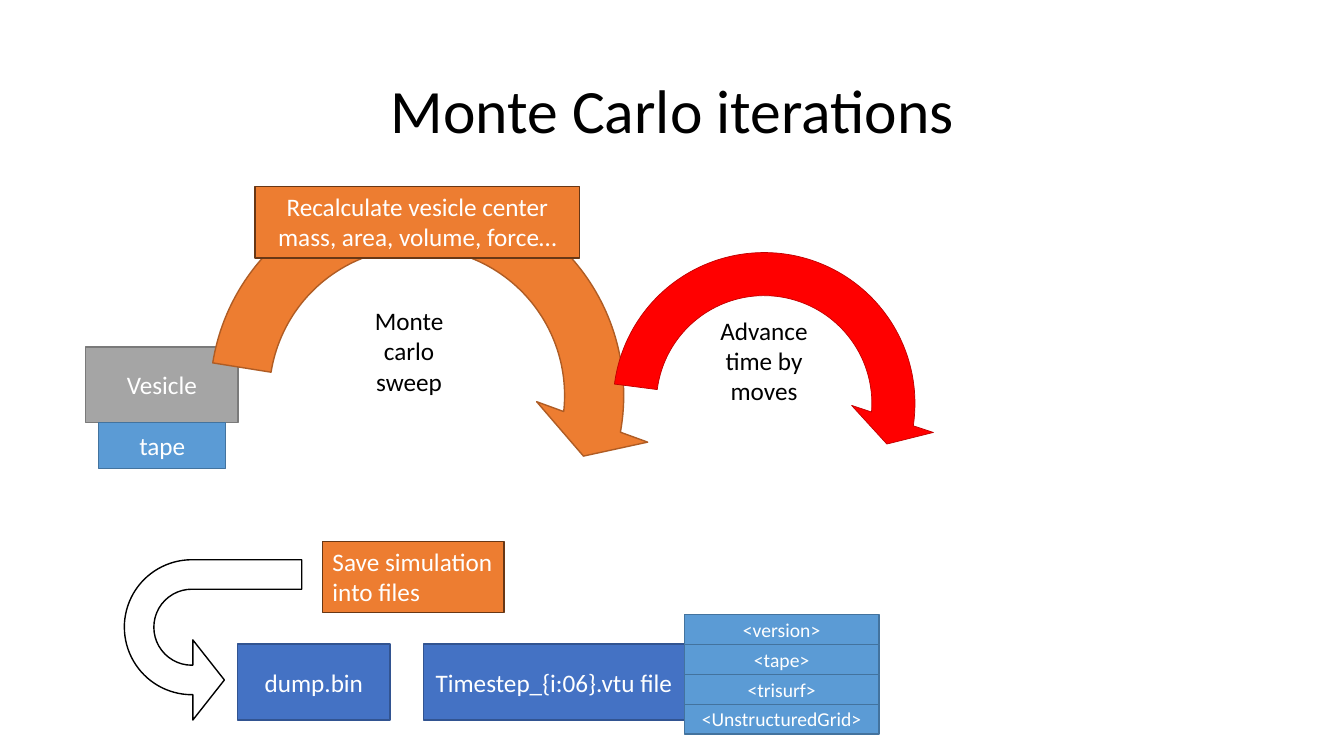
from pptx import Presentation
from pptx import util as u
from pptx.dml import color
from pptx.enum import shapes, text

ORANGE = "ED7D31"
BLUE = "4472C4"
LIGHT_BLUE = "5B9BD5"
LIGHT_BLUE_EDGE = "43739E"


def rgb(hex_value):
    return color.RGBColor.from_string(hex_value)


def place(box):
    return [u.Cm(length) for length in box]


def write(frame, wording, size=18, ink="FFFFFF", align=text.PP_ALIGN.CENTER,
          anchor=text.MSO_ANCHOR.MIDDLE, spacing=None,
          fit=text.MSO_AUTO_SIZE.NONE):
    frame.word_wrap = True
    frame.auto_size = fit
    frame.vertical_anchor = anchor
    paragraph = frame.paragraphs[0]
    paragraph.alignment = align
    paragraph.line_spacing = spacing
    run = paragraph.add_run()
    run.text = wording
    run.font.size = u.Pt(size)
    run.font.name = "Calibri"
    run.font.color.rgb = rgb(ink)


def add_outline(slide, preset, box, fill, edge, edge_width=1):
    outline = slide.shapes.add_shape(preset, *place(box))
    outline.shadow.inherit = False
    outline.fill.solid()
    outline.fill.fore_color.rgb = rgb(fill)
    outline.line.color.rgb = rgb(edge)
    outline.line.width = u.Pt(edge_width)
    return outline


def add_block(slide, wording, box, fill, edge, **style):
    block = add_outline(slide, shapes.MSO_SHAPE.RECTANGLE, box, fill, edge)
    write(block.text_frame, wording, **style)


def set_adjustments(arrow, values):
    for index, value in enumerate(values):
        arrow.adjustments[index] = value


def add_cycle(slide, left, top, size, rotation, fill, edge, edge_width=1):
    cycle = add_outline(slide, shapes.MSO_SHAPE.CIRCULAR_ARROW,
                        (left, top, size, size), fill, edge, edge_width)
    cycle.rotation = rotation
    degree = 0.6
    set_adjustments(cycle, [0.125, 11.42 * degree, 204.58 * degree,
                            25.07 * degree, 0.125])


def add_label(slide, wording, box):
    label = slide.shapes.add_textbox(*place(box))
    write(label.text_frame, wording, ink="000000", anchor=text.MSO_ANCHOR.TOP,
          fit=text.MSO_AUTO_SIZE.SHAPE_TO_FIT_TEXT)


def add_file_arrow(slide, box):
    arrow = add_outline(slide, shapes.MSO_SHAPE.U_TURN_ARROW, box,
                        "FFFFFF", "000000")
    arrow.rotation = 90
    arrow.element.spPr.get_or_add_xfrm().set("flipV", "1")
    set_adjustments(arrow, [0.184, 0.25, 0.197, 0.421, 0.564])


def add_file_tags(slide, tags, left, top, width, height, step):
    for row, tag in reversed(list(enumerate(tags))):
        add_block(slide, tag, (left, top + row * step, width, height),
                  LIGHT_BLUE, LIGHT_BLUE_EDGE, size=14)


def add_title(slide, wording, box):
    title = slide.shapes.title
    title.left, title.top, title.width, title.height = place(box)
    write(title.text_frame, wording, size=44, ink="000000", spacing=0.9)


def main():
    deck = Presentation()
    deck.slide_width, deck.slide_height = u.Cm(33.87), u.Cm(19.05)
    slide = deck.slides.add_slide(deck.slide_layouts[5])
    add_title(slide, "Monte Carlo iterations", (2.34, 1.02, 29.21, 3.68))

    add_block(slide, "Vesicle", (2.16, 8.74, 3.84, 1.91), "A5A5A5", "7A7A7A")
    add_block(slide, "tape", (2.49, 10.64, 3.2, 1.17),
              LIGHT_BLUE, LIGHT_BLUE_EDGE)
    add_cycle(slide, 4.55, 4.01, 11.91, 164, ORANGE, "AF5C24")
    add_block(slide, "dump.bin", (5.99, 16.23, 3.84, 1.91), BLUE, "325491")
    add_block(slide, "Timestep_{i:06}.vtu file", (10.67, 16.23, 6.58, 1.91),
              BLUE, "325491")
    add_cycle(slide, 14.91, 5.82, 8.69, 162.3, "FF0000", "C00000", 0.5)
    add_label(slide, "Monte carlo sweep", (8.71, 7.57, 3.2, 2.57))
    add_label(slide, "Advance time by moves", (17.25, 7.82, 4.01, 2.57))

    step_style = {"anchor": text.MSO_ANCHOR.TOP,
                  "fit": text.MSO_AUTO_SIZE.SHAPE_TO_FIT_TEXT}
    add_block(slide, "Recalculate vesicle center mass, area, volume, force…",
              (6.43, 4.7, 8.18, 1.8), ORANGE, "683715", **step_style)
    add_block(slide, "Save simulation into files", (8.13, 13.64, 4.57, 1.8),
              ORANGE, "683715", align=text.PP_ALIGN.LEFT, **step_style)
    add_file_tags(slide, ["<version>", "<tape>", "<trisurf>",
                          "<UnstructuredGrid>"],
                  left=17.25, top=15.49, width=4.9, height=0.76, step=0.75)
    add_file_arrow(slide, (3.35, 13.89, 4.04, 4.47))
    deck.save("out.pptx")


if __name__ == "__main__":
    main()
